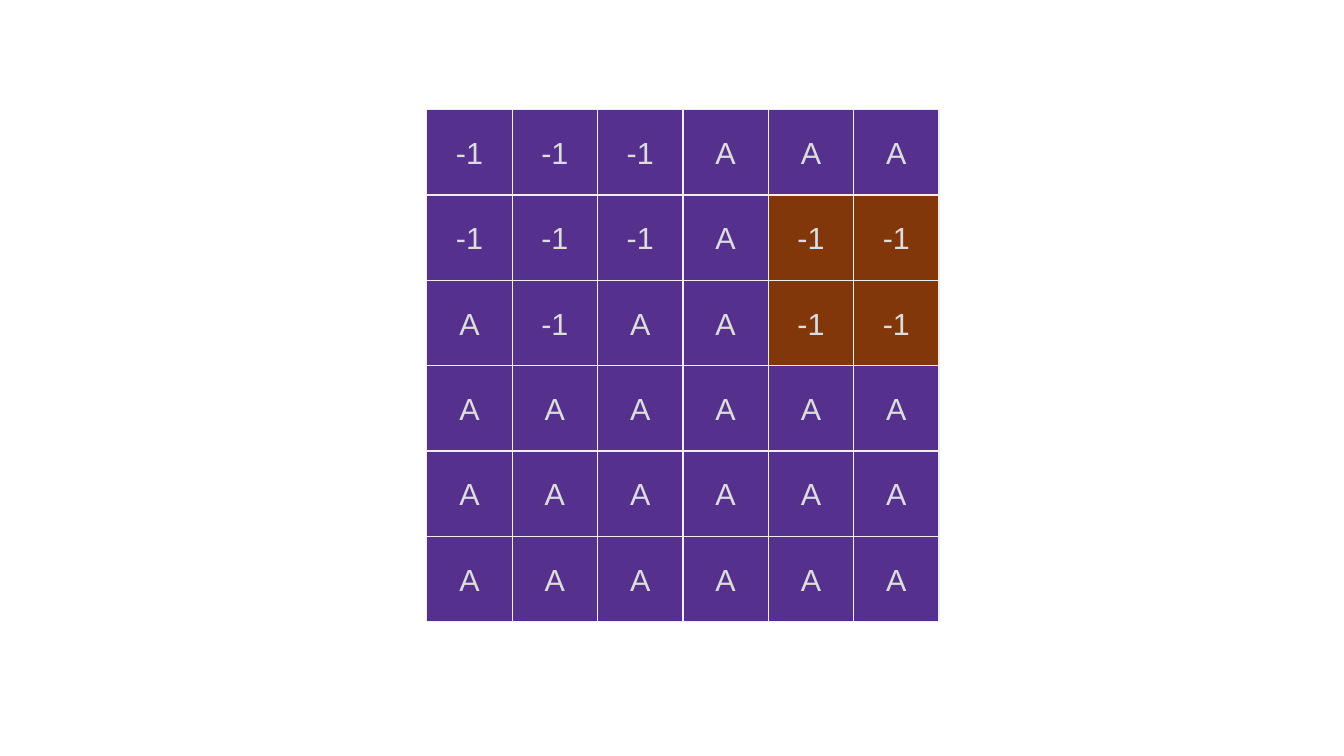
from pptx import Presentation
from pptx import util as u
from pptx.dml.color import RGBColor
from pptx.enum import shapes, text

HEX = {"cell": "55308D", "mark": "813709", "line": "EEEEEE", "font": "DDDDDD"}
RGB = {name: RGBColor.from_string(code) for name, code in HEX.items()}
ROWS = [
    "-1 -1 -1 A A A",
    "-1 -1 -1 A -1 -1",
    "A -1 A A -1 -1",
    "A A A A A A",
    "A A A A A A",
    "A A A A A A",
]
MARKED = {(1, 4), (1, 5), (2, 4), (2, 5)}
LEFT, TOP, SIDE = u.Inches(3.5), u.Inches(0.9), u.Inches(0.7)
FRAME = {"word_wrap": False, "vertical_anchor": text.MSO_ANCHOR.MIDDLE}
FONT = {"name": "Arial", "size": u.Pt(18)}

deck = Presentation()
deck.slide_width, deck.slide_height = u.Inches(11.02), u.Inches(6.2)
slide = deck.slides.add_slide(deck.slide_layouts[6])

for row, line in enumerate(ROWS):
    for col, label in enumerate(line.split()):
        cell = slide.shapes.add_shape(
            shapes.MSO_SHAPE.RECTANGLE,
            LEFT + col * SIDE, TOP + row * SIDE, SIDE, SIDE)
        cell.shadow.inherit = False
        cell.fill.solid()
        cell.fill.fore_color.rgb = RGB["mark" if (row, col) in MARKED else "cell"]
        cell.line.color.rgb = RGB["line"]
        cell.line.width = 0

        frame = cell.text_frame
        for key, value in FRAME.items():
            setattr(frame, key, value)
        para = frame.paragraphs[0]
        para.alignment = text.PP_ALIGN.CENTER
        run = para.add_run()
        run.text = label
        for key, value in FONT.items():
            setattr(run.font, key, value)
        run.font.color.rgb = RGB["font"]

deck.save("out.pptx")
